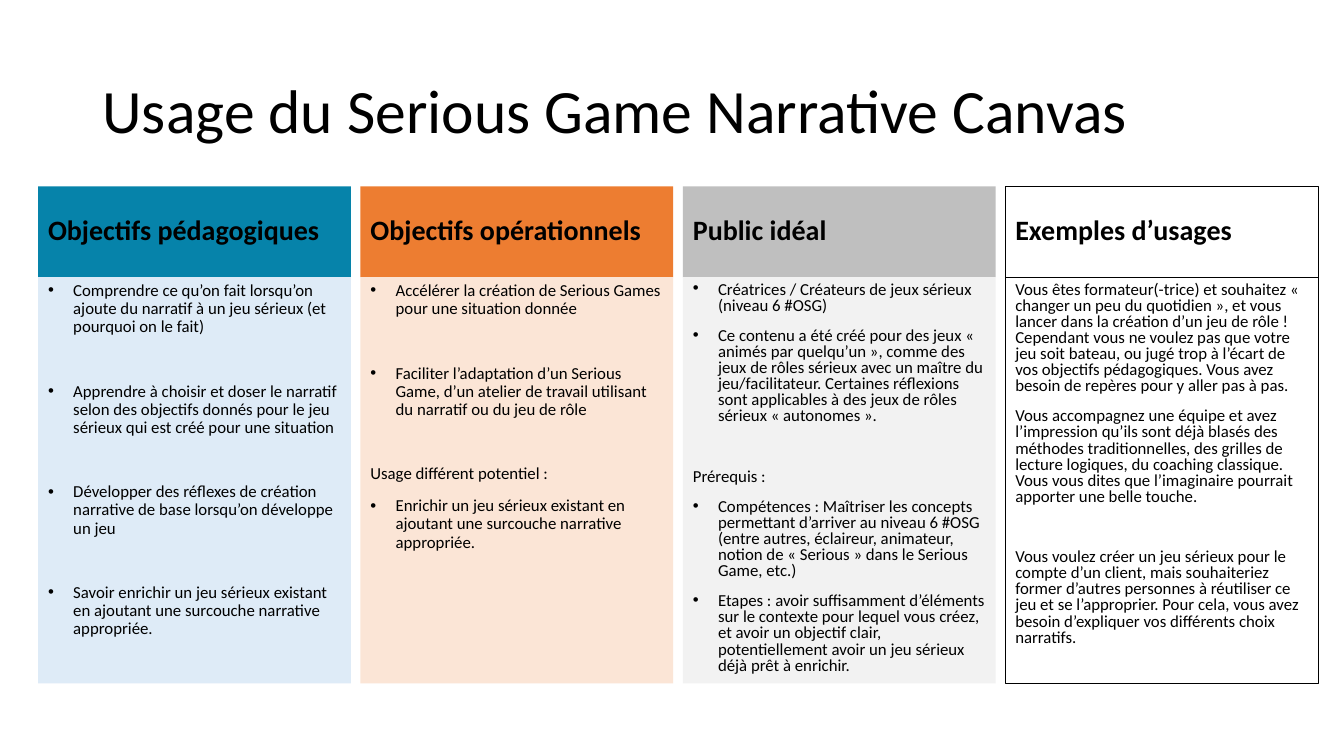
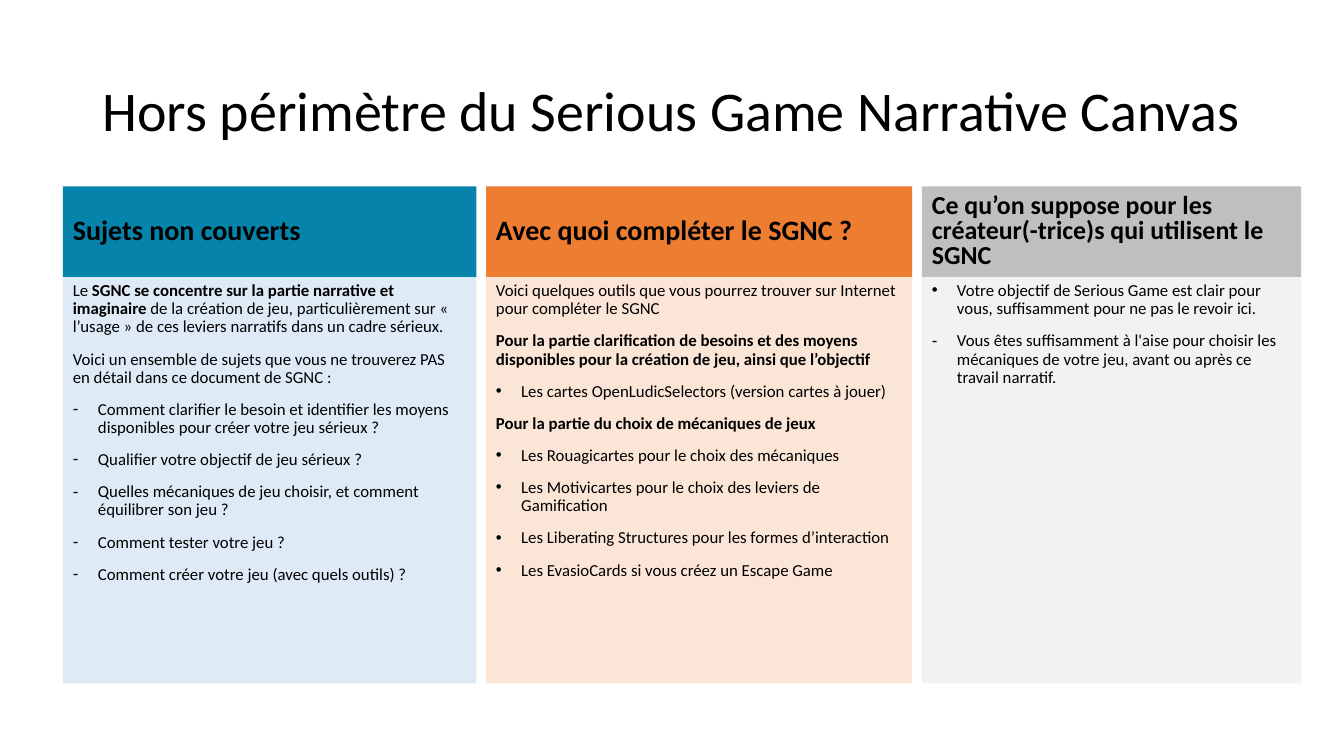
from dataclasses import dataclass

from lxml import etree
from pptx import Presentation
from pptx.dml.color import RGBColor
from pptx.enum.shapes import MSO_SHAPE
from pptx.enum.text import MSO_ANCHOR, MSO_AUTO_SIZE, PP_ALIGN
from pptx.oxml.ns import qn
from pptx.util import Pt

RECT = MSO_SHAPE.RECTANGLE
TOP, MIDDLE = MSO_ANCHOR.TOP, MSO_ANCHOR.MIDDLE
NO_FIT = MSO_AUTO_SIZE.NONE
LEFT = PP_ALIGN.LEFT

BLACK = RGBColor(0x00, 0x00, 0x00)
WHITE = RGBColor(0xFF, 0xFF, 0xFF)
TEAL = RGBColor(0x06, 0x83, 0xAA)
PALE_BLUE = RGBColor(0xDE, 0xEB, 0xF7)
ORANGE = RGBColor(0xED, 0x7D, 0x31)
PALE_ORANGE = RGBColor(0xFB, 0xE5, 0xD6)
GREY = RGBColor(0xBF, 0xBF, 0xBF)
PALE_GREY = RGBColor(0xF2, 0xF2, 0xF2)

BLUE_STYLE = (TEAL, PALE_BLUE, None)
ORANGE_STYLE = (ORANGE, PALE_ORANGE, None)
GREY_STYLE = (GREY, PALE_GREY, None)
OUTLINE_STYLE = (WHITE, WHITE, BLACK)

FONT = "Calibri"
TITLE_LAYOUT = 5
HEAD_TOP, HEAD_HEIGHT, BODY_HEIGHT = 133.2, 64.8, 290.2
COLUMN_GAP = 6.9
BULLET_INDENT = 18
PARA_GAP, WIDE_GAP, TIGHT_WIDE_GAP = 10, 33, 31.5


@dataclass
class Para:
    """A paragraph; text between double asterisks is bold."""
    text: str
    bullet: str = ""
    gap: float = PARA_GAP


@dataclass
class Column:
    """A heading over a body of paragraphs."""
    style: tuple
    width: float
    heading: str
    paras: list
    spacing: float = 0.9
    head_size: float = 20
    head_spacing: float = 0.9


def dot(text, gap=PARA_GAP):
    """Return a paragraph with a round bullet."""
    return Para(text, "•", gap)


def dash(text):
    """Return a paragraph with a dash bullet."""
    return Para(text, "-")


def set_bullet(p, char):
    """Give a paragraph a hanging bullet."""
    pPr = p._p.get_or_add_pPr()
    pPr.set("marL", str(Pt(BULLET_INDENT)))
    pPr.set("indent", str(-Pt(BULLET_INDENT)))
    etree.SubElement(pPr, qn("a:buFont"), typeface="Arial")
    etree.SubElement(pPr, qn("a:buChar"), char=char)


def write(tf, paras, size=12, spacing=0.9, anchor=TOP):
    """Fill a text frame with formatted paragraphs."""
    tf.word_wrap = True
    tf.auto_size = NO_FIT
    tf.vertical_anchor = anchor
    for i, para in enumerate(paras):
        p = tf.add_paragraph() if i else tf.paragraphs[0]
        if para.bullet:
            set_bullet(p, para.bullet)
        p.alignment = LEFT
        p.line_spacing = spacing
        p.space_before = Pt(para.gap if i else 0)
        for j, part in enumerate(para.text.split("**")):
            if part:
                r = p.add_run()
                r.text = part
                r.font.name = FONT
                r.font.size = Pt(size)
                r.font.bold = j % 2 == 1
                r.font.color.rgb = BLACK


def add_panel(s, left, top, width, height, fill, line, paras, **text_format):
    """Add a filled rectangle holding text."""
    sp = s.shapes.add_shape(RECT, Pt(left), Pt(top), Pt(width), Pt(height))
    sp.shadow.inherit = False
    sp.fill.solid()
    sp.fill.fore_color.rgb = fill
    if line is None:
        sp.line.fill.background()
    else:
        sp.line.color.rgb = line
        sp.line.width = Pt(0.75)
    write(sp.text_frame, paras, **text_format)


def add_column(s, left, column):
    """Add a heading panel and the body panel under it."""
    head_fill, body_fill, line = column.style
    add_panel(s, left, HEAD_TOP, column.width, HEAD_HEIGHT, head_fill, line,
              [Para(f"**{column.heading}**")], size=column.head_size,
              spacing=column.head_spacing, anchor=MIDDLE)
    add_panel(s, left, HEAD_TOP + HEAD_HEIGHT, column.width, BODY_HEIGHT,
              body_fill, line, column.paras, spacing=column.spacing)


def add_slide(prs, title, title_size, left, columns):
    """Add a titled slide with columns side by side."""
    s = prs.slides.add_slide(prs.slide_layouts[TITLE_LAYOUT])
    sp = s.shapes.title
    sp.left, sp.top, sp.width, sp.height = Pt(66), Pt(28.8), Pt(828), Pt(104.4)
    write(sp.text_frame, [Para(title)], size=title_size, anchor=MIDDLE)
    for column in columns:
        add_column(s, left, column)
        left += column.width + COLUMN_GAP


def usage_columns():
    """Return the columns on the use of the canvas."""
    width = 223.4
    return [
        Column(BLUE_STYLE, width, "Objectifs pédagogiques", [
            dot("Comprendre ce qu’on fait lorsqu’on ajoute du narratif à un jeu "
                "sérieux (et pourquoi on le fait)"),
            dot("Apprendre à choisir et doser le narratif selon des objectifs donnés "
                "pour le jeu sérieux qui est créé pour une situation", WIDE_GAP),
            dot("Développer des réflexes de création narrative de base lorsqu’on "
                "développe un jeu", WIDE_GAP),
            dot("Savoir enrichir un jeu sérieux existant en ajoutant une surcouche "
                "narrative appropriée.", WIDE_GAP),
        ]),
        Column(ORANGE_STYLE, width, "Objectifs opérationnels", [
            dot("Accélérer la création de Serious Games pour une situation donnée"),
            dot("Faciliter l’adaptation d’un Serious Game, d’un atelier de travail "
                "utilisant du narratif ou du jeu de rôle", WIDE_GAP),
            Para("Usage différent potentiel :", gap=WIDE_GAP),
            dot("Enrichir un jeu sérieux existant en ajoutant une surcouche "
                "narrative appropriée."),
        ]),
        Column(GREY_STYLE, width, "Public idéal", [
            dot("Créatrices / Créateurs de jeux sérieux (niveau 6 #OSG)"),
            dot("Ce contenu a été créé pour des jeux « animés par quelqu’un », comme "
                "des jeux de rôles sérieux avec un maître du jeu/facilitateur. "
                "Certaines réflexions sont applicables à des jeux de rôles sérieux "
                "« autonomes »."),
            Para("Prérequis :", gap=TIGHT_WIDE_GAP),
            dot("Compétences : Maîtriser les concepts permettant d’arriver au niveau "
                "6 #OSG (entre autres, éclaireur, animateur, notion de « Serious » "
                "dans le Serious Game, etc.)"),
            dot("Etapes : avoir suffisamment d’éléments sur le contexte pour lequel "
                "vous créez, et avoir un objectif clair, potentiellement avoir un "
                "jeu sérieux déjà prêt à enrichir."),
        ], spacing=0.8),
        Column(OUTLINE_STYLE, width, "Exemples d’usages", [
            Para("Vous êtes formateur(-trice) et souhaitez « changer un peu du "
                 "quotidien », et vous lancer dans la création d’un jeu de rôle ! "
                 "Cependant vous ne voulez pas que votre jeu soit bateau, ou jugé "
                 "trop à l’écart de vos objectifs pédagogiques. Vous avez besoin de "
                 "repères pour y aller pas à pas."),
            Para("Vous accompagnez une équipe et avez l’impression qu’ils sont déjà "
                 "blasés des méthodes traditionnelles, des grilles de lecture "
                 "logiques, du coaching classique. Vous vous dites que l’imaginaire "
                 "pourrait apporter une belle touche."),
            Para("Vous voulez créer un jeu sérieux pour le compte d’un client, mais "
                 "souhaiteriez former d’autres personnes à réutiliser ce jeu et se "
                 "l’approprier. Pour cela, vous avez besoin d’expliquer vos "
                 "différents choix narratifs.", gap=TIGHT_WIDE_GAP),
        ], spacing=0.8),
    ]


def scope_columns():
    """Return the columns on what the canvas leaves out."""
    return [
        Column(BLUE_STYLE, 295.4, "Sujets non couverts", [
            Para("Le **SGNC se concentre sur la partie narrative et imaginaire **de "
                 "la création de jeu, particulièrement sur « l’usage » de ces "
                 "leviers narratifs dans un cadre sérieux."),
            Para("Voici un ensemble de sujets que vous ne trouverez PAS en détail "
                 "dans ce document de SGNC :"),
            dash("Comment clarifier le besoin et identifier les moyens disponibles "
                 "pour créer votre jeu sérieux ?"),
            dash("Qualifier votre objectif de jeu sérieux ?"),
            dash("Quelles mécaniques de jeu choisir, et comment équilibrer son jeu ?"),
            dash("Comment tester votre jeu ?"),
            dash("Comment créer votre jeu (avec quels outils) ?"),
        ]),
        Column(ORANGE_STYLE, 304.4, "Avec quoi compléter le SGNC ?", [
            Para("Voici quelques outils que vous pourrez trouver sur Internet pour "
                 "compléter le SGNC"),
            Para("**Pour la partie clarification de besoins et des moyens disponibles "
                 "pour la création de jeu, ainsi que l’objectif**"),
            dot("Les cartes OpenLudicSelectors (version cartes à jouer)"),
            Para("**Pour la partie du choix de mécaniques de jeux**"),
            dot("Les Rouagicartes pour le choix des mécaniques"),
            dot("Les Motivicartes pour le choix des leviers de Gamification"),
            dot("Les Liberating Structures pour les formes d’interaction"),
            dot("Les EvasioCards si vous créez un Escape Game"),
        ]),
        Column(GREY_STYLE, 270.9,
               "Ce qu’on suppose pour les créateur(-trice)s qui utilisent le SGNC", [
                   dot("Votre objectif de Serious Game est clair pour vous, "
                       "suffisamment pour ne pas le revoir ici."),
                   dash("Vous êtes suffisamment à l'aise pour choisir les mécaniques "
                        "de votre jeu, avant ou après ce travail narratif."),
               ], head_size=18.5, head_spacing=0.8),
    ]


def main():
    """Build and save the presentation."""
    prs = Presentation()
    prs.slide_width, prs.slide_height = Pt(960), Pt(540)
    add_slide(prs, "Usage du Serious Game Narrative Canvas", 44, 27.2,
              usage_columns())
    add_slide(prs, "Hors périmètre du Serious Game Narrative Canvas", 40, 44.9,
              scope_columns())
    prs.save("out.pptx")


if __name__ == "__main__":
    main()
